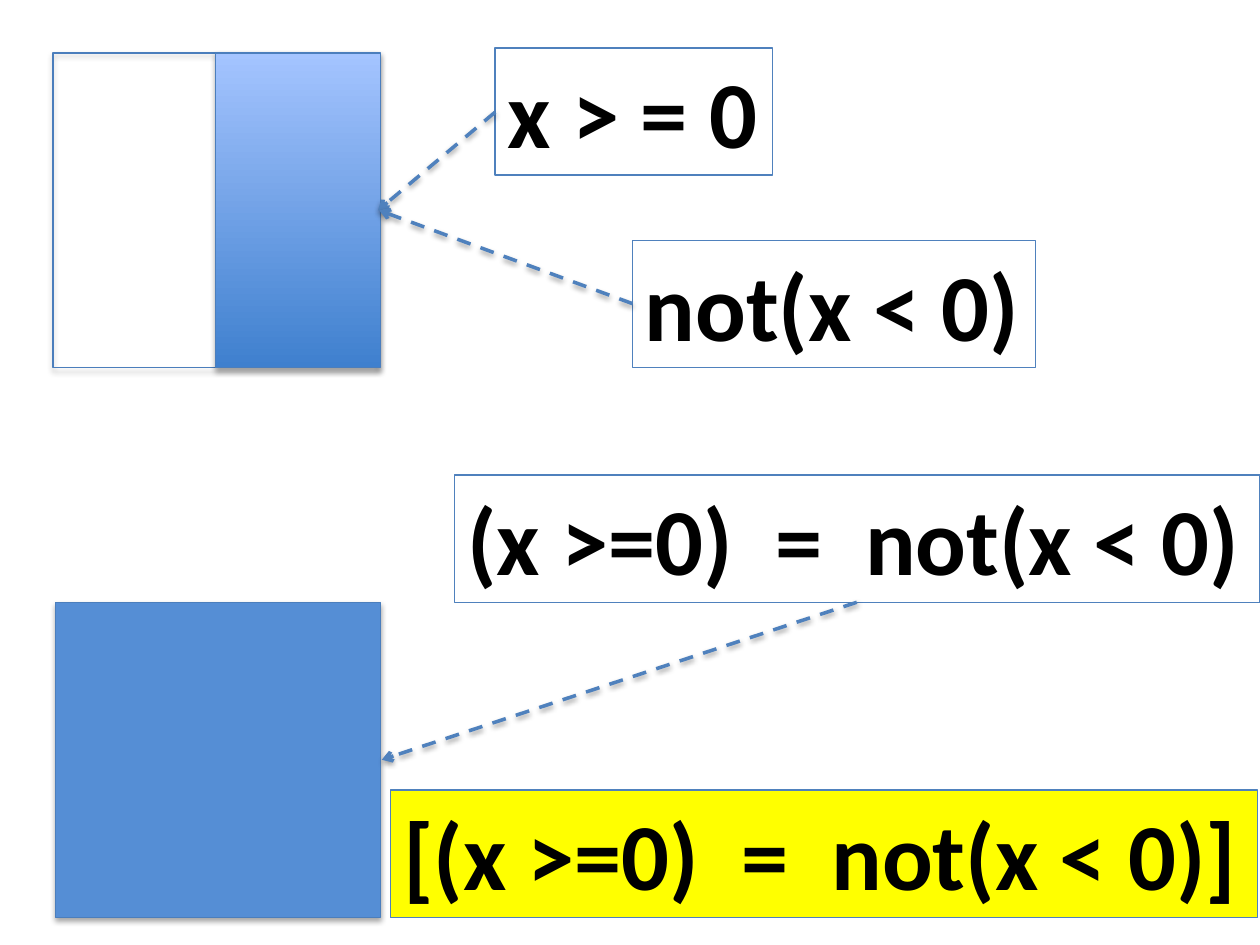
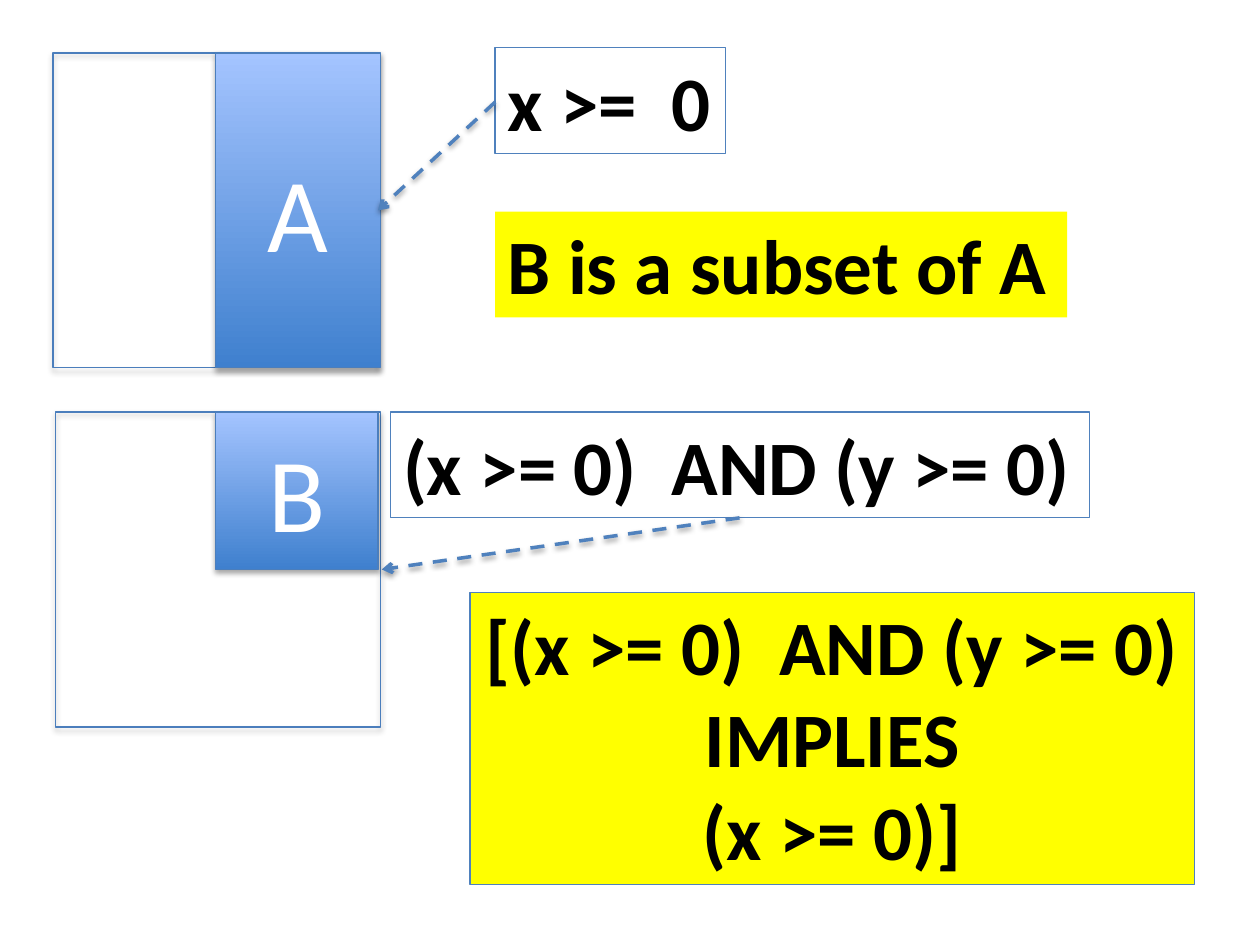
from lxml import etree
from pptx import Presentation
from pptx.dml.color import RGBColor
from pptx.enum.dml import MSO_LINE
from pptx.enum.shapes import MSO_CONNECTOR, MSO_SHAPE
from pptx.enum.text import MSO_ANCHOR, MSO_AUTO_SIZE, PP_ALIGN
from pptx.oxml import parse_xml
from pptx.oxml.ns import nsdecls, qn
from pptx.util import Inches, Pt

FONT = "Calibri"
BLACK = RGBColor(0x00, 0x00, 0x00)
WHITE = RGBColor(0xFF, 0xFF, 0xFF)
YELLOW = RGBColor(0xFF, 0xFF, 0x00)
BLUE = RGBColor(0x55, 0x8E, 0xD5)
BORDER = RGBColor(0x4F, 0x81, 0xBD)
EDGE = RGBColor(0x4B, 0x7E, 0xBC)
GRADIENT = (RGBColor(0x3F, 0x80, 0xCE), RGBColor(0xA4, 0xC4, 0xFF))

SIDE_W, SIDE_H = 2.58, 2.5
LEFT, TOP, HALF_X = 0.42, 0.42, 1.71
HALF_W = 1.31
LOWER_LEFT = 0.44


def shadow_xml(alpha, distance):
    """Return an effect list with a soft shadow falling straight down."""
    return parse_xml(
        f'<a:effectLst {nsdecls("a")}><a:outerShdw blurRad="40000" dist="{distance}" '
        'dir="5400000" rotWithShape="0"><a:srgbClr val="000000">'
        f'<a:alpha val="{alpha * 1000}"/></a:srgbClr></a:outerShdw></a:effectLst>')


def write(s, lines, size, color, bold=False, align=None):
    """Put one paragraph per line into a shape."""
    tf = s.text_frame
    tf.text = "\n".join(lines)
    for p in tf.paragraphs:
        p.alignment = align
        p.font.name, p.font.size = FONT, Pt(size)
        p.font.bold, p.font.color.rgb = bold, color


def region(shapes, x, y, w, h, fill=None, label=None):
    """Draw a shadowed rectangle: a solid colour, GRADIENT or no fill."""
    s = shapes.add_shape(MSO_SHAPE.RECTANGLE, Inches(x), Inches(y), Inches(w), Inches(h))
    s.shadow.inherit = False
    if fill is None:
        s.fill.background()
    elif fill is GRADIENT:
        s.fill.gradient()
        s.fill.gradient_angle = 90
        for stop, color in zip(s.fill.gradient_stops, GRADIENT):
            stop.color.rgb, stop.position = color, GRADIENT.index(color)
    else:
        s.fill.solid()
        s.fill.fore_color.rgb = fill
    s.line.color.rgb, s.line.width = EDGE, Pt(0.75)
    effects = s._element.spPr.find(qn("a:effectLst"))
    effects.getparent().replace(effects, shadow_xml(35, 23000))
    if label:
        s.text_frame.vertical_anchor = MSO_ANCHOR.MIDDLE
        write(s, [label], 60, WHITE, align=PP_ALIGN.CENTER)


def half_square(slide, label=None):
    """Draw the upper square whose right half stands for x >= 0."""
    group = slide.shapes.add_group_shape()
    region(group.shapes, LEFT, TOP, SIDE_W, SIDE_H)
    region(group.shapes, HALF_X, TOP, HALF_W, SIDE_H, GRADIENT, label)


def formula(slide, x, y, w, h, lines, size, fill=None, border=True, align=None):
    """Add a bold formula in a fitted box."""
    s = slide.shapes.add_textbox(Inches(x), Inches(y), Inches(w), Inches(h))
    s.text_frame.word_wrap = False
    s.text_frame.auto_size = MSO_AUTO_SIZE.SHAPE_TO_FIT_TEXT
    if fill is not None:
        s.fill.solid()
        s.fill.fore_color.rgb = fill
    if border:
        s.line.color.rgb, s.line.width = BORDER, Pt(0.75)
    write(s, lines, size, BLACK, bold=True, align=align)


def arrow(slide, x1, y1, x2, y2):
    """Draw a dashed arrow from a formula to its region."""
    c = slide.shapes.add_connector(
        MSO_CONNECTOR.STRAIGHT, Inches(x1), Inches(y1), Inches(x2), Inches(y2))
    c.line.color.rgb, c.line.width = BORDER, Pt(2)
    c.line.dash_style = MSO_LINE.DASH
    etree.SubElement(c.line._get_or_add_ln(), qn("a:tailEnd"), type="arrow")
    c._element.spPr.append(shadow_xml(38, 20000))


def equality_slide(slide):
    """Show that x >= 0 equals not(x < 0)."""
    size, h = 54, 1.01
    formula(slide, 3.93, 0.38, 2.2, h, ["x > = 0"], size)
    region(slide.shapes, LOWER_LEFT, 4.78, SIDE_W, SIDE_H, BLUE)
    formula(slide, 3.61, 3.77, 6.39, h, ["(x >=0)  =  not(x < 0)"], size)
    half_square(slide)
    formula(slide, 5.02, 1.91, 3.2, h, ["not(x < 0)"], size)
    arrow(slide, 3.93, 0.89, 3, 1.67)
    arrow(slide, 5.02, 2.41, 3.01, 1.67)
    arrow(slide, 6.8, 4.78, 3.03, 6.03)
    formula(slide, 3.1, 6.27, 6.88, h, ["[(x >=0)  =  not(x < 0)]"], size, YELLOW)


def implication_slide(slide):
    """Show an implication as a subset relation."""
    size, h, lower = 44, 0.84, 3.27
    formula(slide, 3.93, 0.38, 1.83, h, ["x >=  0"], size)
    region(slide.shapes, LOWER_LEFT, lower, SIDE_W, SIDE_H)
    formula(slide, 3.1, lower, 5.55, h, ["(x >= 0)  AND (y >= 0)"], size)
    half_square(slide, "A")
    arrow(slide, 3.93, 0.81, 3, 1.67)
    arrow(slide, 5.87, 4.11, 3.03, 4.52)
    formula(slide, 3.73, 4.7, 5.75, 2.32,
            ["[(x >= 0)  AND (y >= 0)", "IMPLIES", "(x >= 0)]"],
            size, YELLOW, align=PP_ALIGN.CENTER)
    region(slide.shapes, HALF_X, lower, 1.29, SIDE_H / 2, GRADIENT, "B")
    formula(slide, 3.93, 1.68, 4.54, h, ["B is a subset of A"], size, YELLOW, border=False)


def main():
    """Build and save the presentation."""
    prs = Presentation()
    prs.slide_width, prs.slide_height = Inches(10), Inches(7.5)
    blank = prs.slide_layouts[6]
    for build in (equality_slide, implication_slide):
        build(prs.slides.add_slide(blank))
    prs.save("out.pptx")


main()
